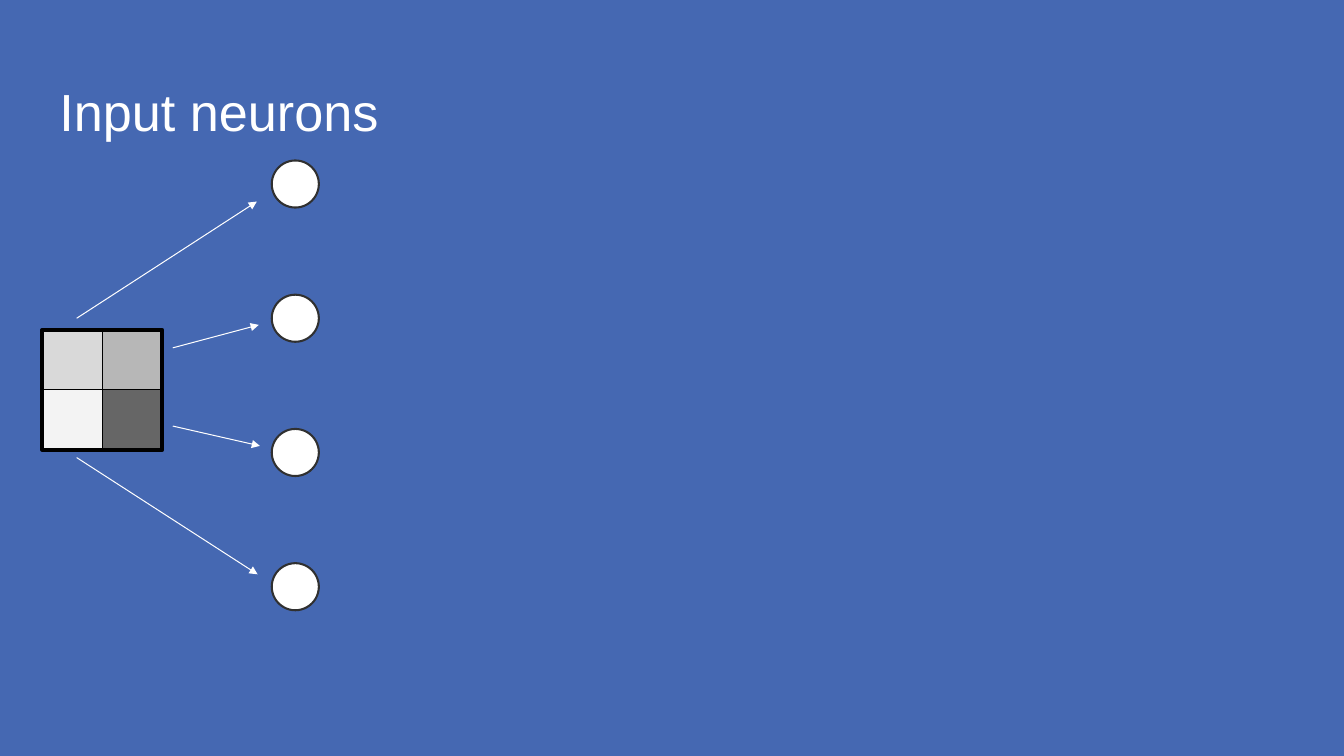
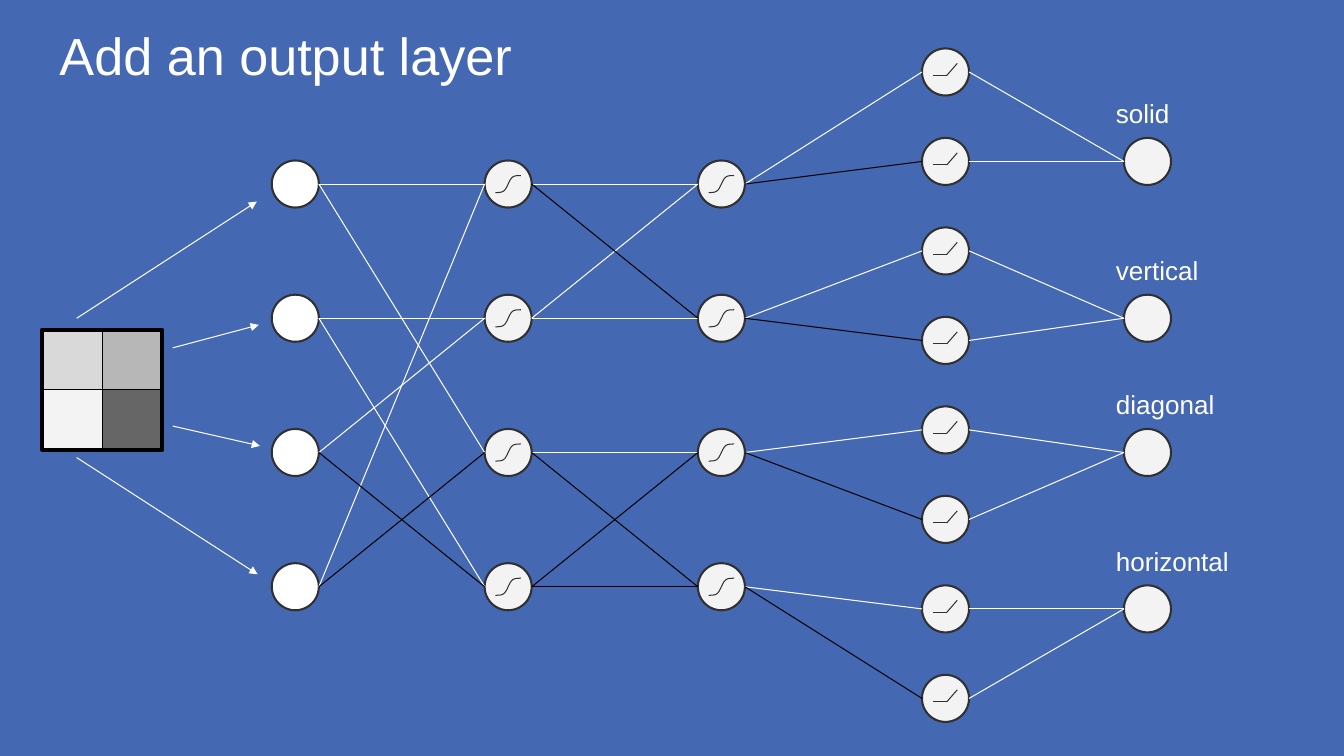
from math import tanh

from lxml.etree import SubElement
from pptx import Presentation
from pptx.dml.color import RGBColor
from pptx.enum.shapes import MSO_CONNECTOR, MSO_SHAPE
from pptx.enum.text import MSO_ANCHOR
from pptx.oxml.ns import qn
from pptx.util import Cm, Pt

BLUE = RGBColor(0x45, 0x68, 0xB2)
WHITE = RGBColor(0xFF, 0xFF, 0xFF)
BLACK = RGBColor(0, 0, 0)
DARK = RGBColor(0x30, 0x30, 0x30)
PALE = RGBColor(0xF3, 0xF3, 0xF3)
LIGHT = RGBColor(0xD9, 0xD9, 0xD9)
MID = RGBColor(0xB7, 0xB7, 0xB7)
DIM = RGBColor(0x66, 0x66, 0x66)

FONT = "Arial"
INSET = Cm(0.36)
SIZE = 1.21  # neuron diameter
LEFT, RIGHT = 2, 6  # connection sites of an ellipse

# Column and row centres, in cm
COLS = [7.59, 13.06, 18.54]
RECT_X, OUT_X = 24.3, 29.49
ROWS = [4.73 + 3.45 * i for i in range(4)]
RECT_ROWS = [1.85 + 2.3 * i for i in range(8)]
OUT_ROWS = [RECT_ROWS[1], ROWS[1], ROWS[2], RECT_ROWS[6]]
LABELS = ["solid", "vertical", "diagonal", "horizontal"]

# (from row, to row, colour)
FIRST = [(0, 0, WHITE), (3, 0, WHITE), (2, 1, WHITE), (1, 1, WHITE),
         (0, 2, WHITE), (1, 3, WHITE), (2, 3, BLACK), (3, 2, BLACK)]
SECOND = [(0, 0, WHITE), (1, 0, WHITE), (1, 1, WHITE), (0, 1, BLACK),
          (2, 2, WHITE), (2, 3, BLACK), (3, 3, BLACK), (3, 2, BLACK)]
SPLIT = [(i // 2, i, BLACK if i % 2 else WHITE) for i in range(8)]
MERGE = [(i, i // 2, WHITE) for i in range(8)]


def add_text(slide, text, x, y, w, h, size):
    box = slide.shapes.add_textbox(Cm(x), Cm(y), Cm(w), Cm(h))
    frame = box.text_frame
    frame.word_wrap = True
    frame.vertical_anchor = MSO_ANCHOR.TOP
    frame.margin_left = frame.margin_right = INSET
    frame.margin_top = frame.margin_bottom = INSET
    para = frame.paragraphs[0]
    para.text = text
    para.font.name = FONT
    para.font.size = Pt(size)
    para.font.color.rgb = WHITE


def add_shape(slide, kind, x, y, w, h, fill, line, width):
    shape = slide.shapes.add_shape(kind, Cm(x), Cm(y), Cm(w), Cm(h))
    shape.shadow.inherit = False
    if fill is None:
        shape.fill.background()
    else:
        shape.fill.solid()
        shape.fill.fore_color.rgb = fill
    shape.line.color.rgb = line
    shape.line.width = Pt(width)
    return shape


def add_line(slide, x1, y1, x2, y2, color, arrow=False):
    line = slide.shapes.add_connector(
        MSO_CONNECTOR.STRAIGHT, Cm(x1), Cm(y1), Cm(x2), Cm(y2))
    line.line.color.rgb = color
    line.line.width = Pt(0.75)
    props = line._element.spPr
    if arrow:
        SubElement(props.find(qn("a:ln")), qn("a:tailEnd"), type="triangle")
    SubElement(props, qn("a:effectLst"))
    return line


def add_curve(slide, x, y):
    """Draw an S-curve centred on x, y."""
    dots = [(Cm(x + i * 0.03), Cm(y - 0.22 * tanh(i * 0.3)))
            for i in range(-11, 12)]
    pen = slide.shapes.build_freeform(*dots[0])
    pen.add_line_segments(dots[1:], close=False)
    curve = pen.convert_to_shape()
    curve.shadow.inherit = False
    curve.fill.background()
    curve.line.color.rgb = DARK
    curve.line.width = Pt(0.75)


def add_ramp(slide, x, y):
    """Draw a flat line that turns upward, centred on x, y."""
    add_line(slide, x - 0.31, y + 0.09, x + 0.03, y + 0.09, DARK)
    add_line(slide, x + 0.03, y + 0.09, x + 0.3, y - 0.22, DARK)


def add_layer(slide, x, rows, fill=PALE, glyph=None):
    """Draw a column of neurons centred on x and return them."""
    layer = []
    for y in rows:
        layer.append(add_shape(slide, MSO_SHAPE.OVAL, x - SIZE / 2,
                               y - SIZE / 2, SIZE, SIZE, fill, DARK, 1.5))
        if glyph:
            glyph(slide, x, y)
    return layer


def link(slide, start, end, edges):
    """Join the right sides of one layer to the left sides of the next."""
    for i, j, color in edges:
        line = add_line(slide, 0, 0, 0, 0, color)
        line.begin_connect(start[i], 3)
        line.end_connect(end[j], 1)
        ends = line._element.nvCxnSpPr.cNvCxnSpPr
        ends.stCxn.idx, ends.endCxn.idx = RIGHT, LEFT


def add_pixels(slide, x, y, cell=1.54):
    """Draw the two-by-two image and the arrows that leave it."""
    for i, fill in enumerate([LIGHT, MID, PALE, DIM]):
        add_shape(slide, MSO_SHAPE.RECTANGLE, x + i % 2 * cell,
                  y + i // 2 * cell, cell, cell, fill, BLACK, 0.75)
    side = 2 * cell
    add_shape(slide, MSO_SHAPE.RECTANGLE, x, y, side, side, None, BLACK, 3)
    for x1, y1, x2, y2 in [(0.88, -0.3, 5.51, -3.3), (3.35, 0.46, 5.56, -0.13),
                           (3.35, 2.47, 5.59, 2.98), (0.88, 3.28, 5.53, 6.28)]:
        add_line(slide, x + x1, y + y1, x + x2, y + y2, WHITE, arrow=True)


def add_slide(deck, title, top):
    """Add a slide with its title and inputs; return it and the neurons."""
    slide = deck.slides.add_slide(deck.slide_layouts[6])
    add_text(slide, title, 1.17, top, 32.18, 2.16, 38)
    add_pixels(slide, 1.09, 8.48)
    return slide, add_layer(slide, COLS[0], ROWS, WHITE)


def add_net(slide, inputs):
    """Draw the hidden and output layers with their links."""
    one = add_layer(slide, COLS[1], ROWS, glyph=add_curve)
    two = add_layer(slide, COLS[2], ROWS, glyph=add_curve)
    ramps = add_layer(slide, RECT_X, RECT_ROWS, glyph=add_ramp)
    outs = add_layer(slide, OUT_X, OUT_ROWS)
    link(slide, inputs, one, FIRST)
    link(slide, one, two, SECOND)
    link(slide, two, ramps, SPLIT)
    link(slide, ramps, outs, MERGE)
    for text, y in zip(LABELS, OUT_ROWS):
        add_text(slide, text, OUT_X - 1.17, y - 2, 4.55, 1.7, 19)


def main():
    deck = Presentation()
    deck.slide_width, deck.slide_height = Cm(34.54), Cm(19.43)
    back = deck.slide_master.background.fill
    back.solid()
    back.fore_color.rgb = BLUE
    add_slide(deck, "Input neurons", 1.68)
    slide, inputs = add_slide(deck, "Add an output layer", 0.25)
    add_net(slide, inputs)
    deck.save("out.pptx")


if __name__ == "__main__":
    main()
